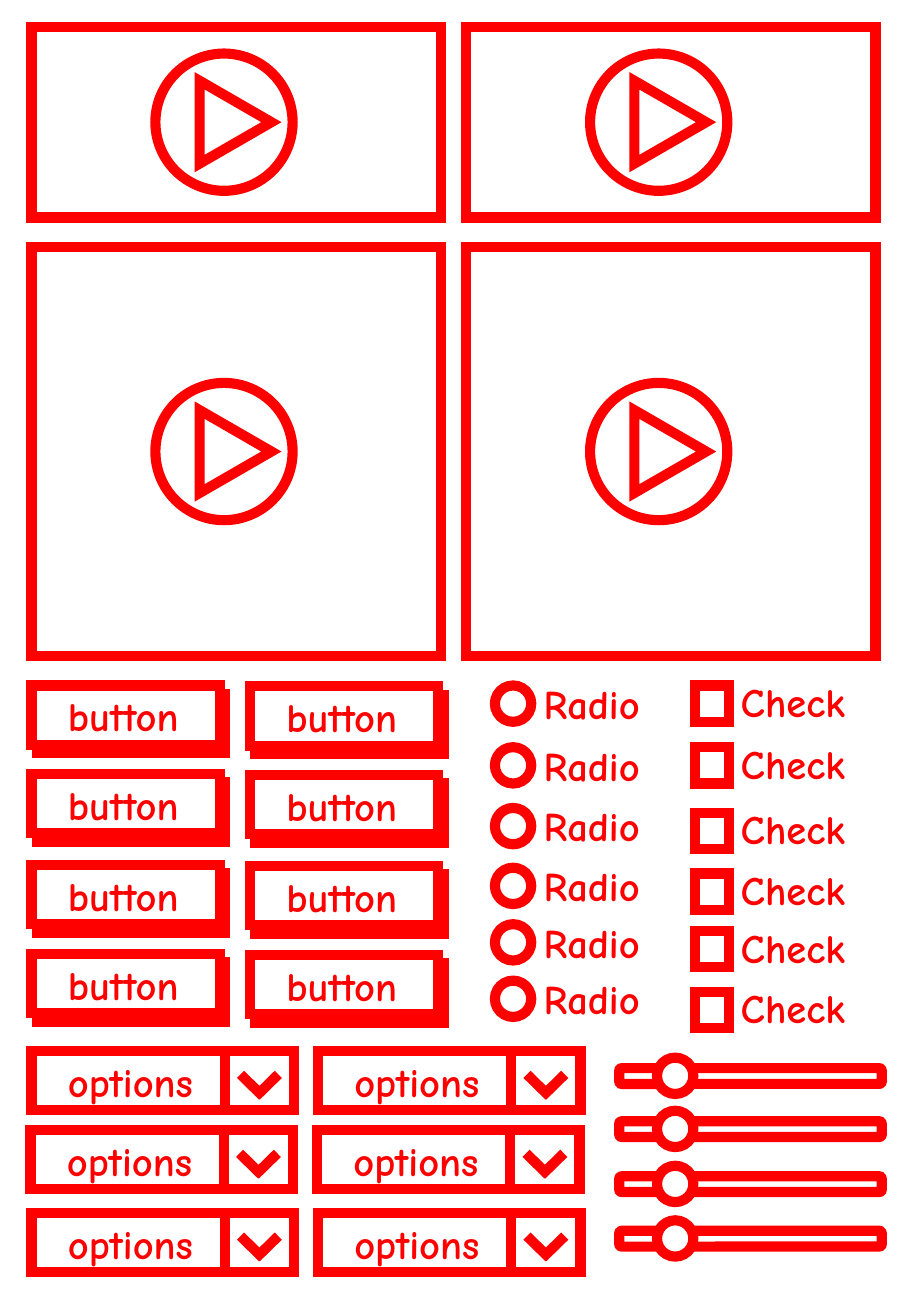
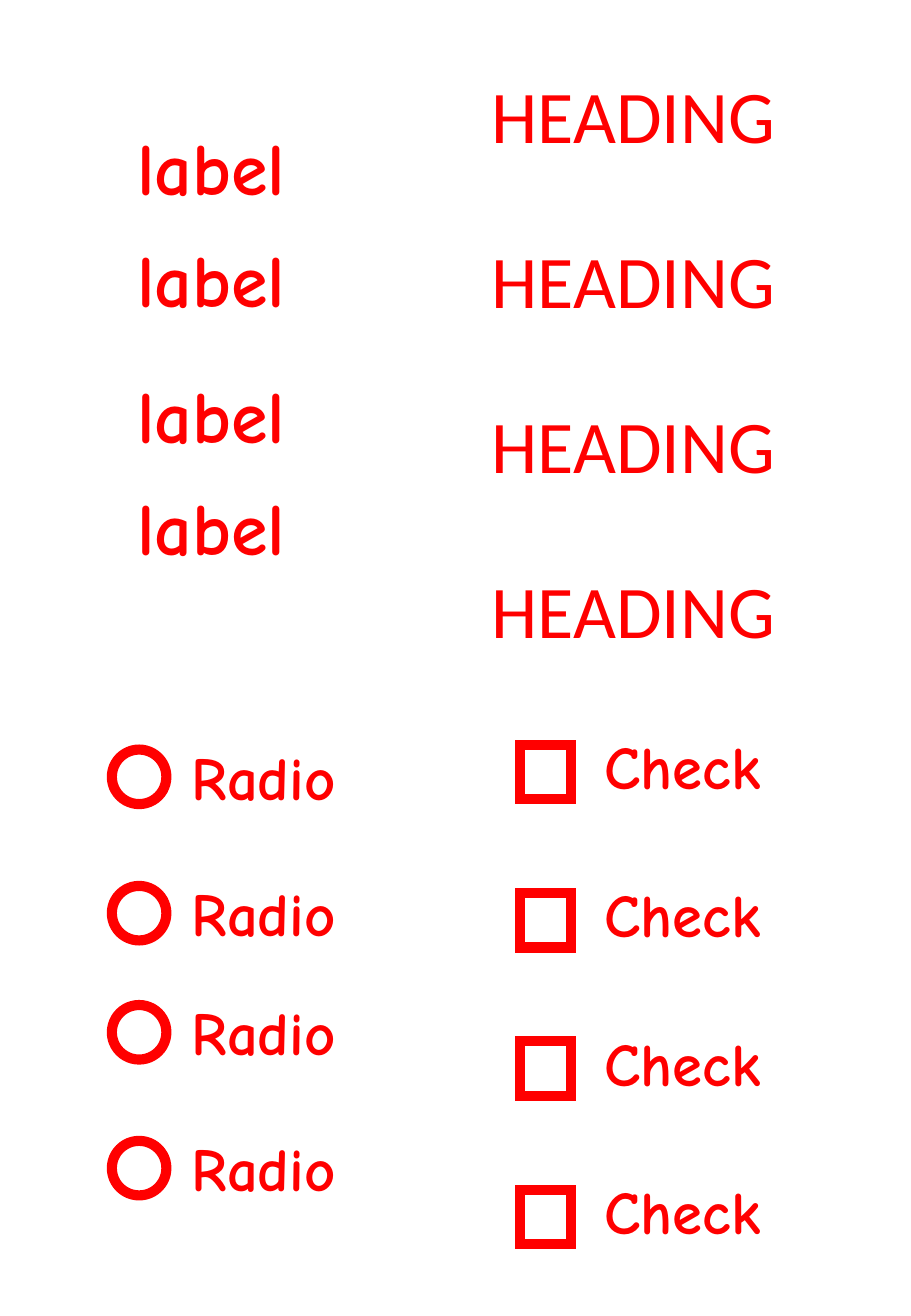
from dataclasses import dataclass
from itertools import product

from lxml import etree
from pptx import Presentation
from pptx import util as u
from pptx.dml import color
from pptx.enum import shapes, text
from pptx.oxml import ns
from pptx.shapes import shapetree as tree

Kind = shapes.MSO_SHAPE


# Shared look
@dataclass(frozen=True)
class Theme:
    ink: color.RGBColor = color.RGBColor(0xFF, 0x00, 0x00)
    paper: color.RGBColor = color.RGBColor(0xFF, 0xFF, 0xFF)
    hand: str = "Comic Neue"
    plain: str = "Calibri"
    small: int = 24
    medium: int = 36
    large: int = 44
    stroke: int = 6


THEME = Theme()


# Lengths in centimetres
@dataclass(frozen=True)
class Box:
    left: float
    top: float
    width: float
    height: float


@dataclass(frozen=True)
class Option:
    """A mark with a caption; gap and rise place the caption by the mark."""
    caption: str
    mark: Kind
    width: float
    height: float
    gap: float
    rise: float
    caption_width: float
    caption_height: float
    size: int


@dataclass(frozen=True)
class OptionColumn:
    option: Option
    left: float
    tops: tuple[float, ...]


@dataclass(frozen=True)
class TextColumn:
    words: str
    left: float
    tops: tuple[float, ...]
    width: float
    font: str
    bold: bool


SMALL_RADIO = Option("Radio", Kind.OVAL, 0.76, 0.76, 0.77, -0.26, 3.2, 1.27, THEME.small)
SMALL_CHECK = Option("Check", Kind.RECTANGLE, 0.71, 0.76, 0.71, -0.3, 3.2, 1.27, THEME.small)
BIG_RADIO = Option("Radio", Kind.OVAL, 1.14, 1.14, 1.42, -0.33, 4.78, 1.8, THEME.medium)
BIG_CHECK = Option("Check", Kind.RECTANGLE, 1.07, 1.14, 1.52, -0.46, 4.78, 1.8, THEME.medium)


# Basic parts
def add_outline(parts: tree.GroupShapes, kind: Kind, box: Box,
                filled: bool = True, turn: float = 0) -> None:
    shape = parts.add_shape(kind, u.Cm(box.left), u.Cm(box.top),
                            u.Cm(box.width), u.Cm(box.height))
    shape.shadow.inherit = False
    shape.rotation = turn
    if filled:
        shape.fill.solid()
        shape.fill.fore_color.rgb = THEME.paper
    else:
        shape.fill.background()
    shape.line.color.rgb = THEME.ink
    shape.line.width = u.Pt(THEME.stroke)
    # Sharp corners
    line = shape.line._get_or_add_ln()
    etree.SubElement(line, ns.qn("a:miter"), lim="800000")


def add_stroke(parts: tree.GroupShapes, x1: float, y1: float,
               x2: float, y2: float) -> None:
    stroke = parts.add_connector(shapes.MSO_CONNECTOR.STRAIGHT,
                                 u.Cm(x1), u.Cm(y1), u.Cm(x2), u.Cm(y2))
    stroke.line.color.rgb = THEME.ink
    stroke.line.width = u.Pt(THEME.stroke)
    etree.SubElement(stroke._element.spPr, ns.qn("a:effectLst"))


def add_words(parts: tree.GroupShapes, words: str, box: Box, size: int,
              font: str = THEME.hand, bold: bool = True, wrap: bool = True) -> None:
    frame = parts.add_textbox(u.Cm(box.left), u.Cm(box.top),
                              u.Cm(box.width), u.Cm(box.height)).text_frame
    frame.word_wrap = wrap
    frame.auto_size = text.MSO_AUTO_SIZE.SHAPE_TO_FIT_TEXT
    para = frame.paragraphs[0]
    span = para.add_run()
    span.text = words
    span.font.name = font
    span.font.size = u.Pt(size)
    span.font.bold = bold
    span.font.color.rgb = THEME.ink


# Interface elements, one group each
def add_video(page_shapes: tree.SlideShapes, box: Box) -> None:
    parts = page_shapes.add_group_shape().shapes
    middle = box.top + box.height / 2
    disc, base, rise = 2.87, 1.73, 1.5
    add_outline(parts, Kind.RECTANGLE, box)
    add_outline(parts, Kind.ISOSCELES_TRIANGLE,
                Box(box.left + 3.4, middle - rise / 2, base, rise), False, 90)
    add_outline(parts, Kind.OVAL, Box(box.left + 2.59, middle - disc / 2, disc, disc), False)


def add_button(page_shapes: tree.SlideShapes, left: float, top: float) -> None:
    parts = page_shapes.add_group_shape().shapes
    width, height = 3.94, 1.24
    add_outline(parts, Kind.RECTANGLE, Box(left + 0.11, top + 0.18, width, height), False)
    add_outline(parts, Kind.RECTANGLE, Box(left, top, width, height))
    add_words(parts, "button", Box(left + 0.51, top, 3, 1.27), THEME.small, wrap=False)


def add_dropdown(page_shapes: tree.SlideShapes, left: float, top: float) -> None:
    parts = page_shapes.add_group_shape().shapes
    height, high, low = 1.24, top + 0.49, top + 0.94
    add_outline(parts, Kind.RECTANGLE, Box(left, top, 5.49, height))
    add_words(parts, "options", Box(left + 0.51, top, 3.2, 1.27), THEME.small)
    add_outline(parts, Kind.RECTANGLE, Box(left + 4.04, top, 1.45, height), False)
    add_stroke(parts, left + 4.37, high, left + 4.83, low)
    add_stroke(parts, left + 4.7, low, left + 5.16, high)


def add_slider(page_shapes: tree.SlideShapes, left: float, top: float) -> None:
    parts = page_shapes.add_group_shape().shapes
    add_outline(parts, Kind.ROUNDED_RECTANGLE, Box(left, top, 5.49, 0.33))
    add_outline(parts, Kind.OVAL, Box(left + 0.79, top - 0.22, 0.76, 0.76))


def add_options(page_shapes: tree.SlideShapes, column: OptionColumn) -> None:
    option = column.option
    for top in column.tops:
        parts = page_shapes.add_group_shape().shapes
        add_outline(parts, option.mark, Box(column.left, top, option.width, option.height))
        add_words(parts, option.caption,
                  Box(column.left + option.gap, top + option.rise,
                      option.caption_width, option.caption_height), option.size)


def add_texts(page_shapes: tree.SlideShapes, column: TextColumn) -> None:
    for top in column.tops:
        add_words(page_shapes, column.words, Box(column.left, top, column.width, 2.13),
                  THEME.large, column.font, column.bold)


# Pages
def build_controls(page_shapes: tree.SlideShapes) -> None:
    for left, (top, height) in product((0.66, 9.75), ((0.56, 3.99), (5.16, 8.56))):
        add_video(page_shapes, Box(left, top, 8.56, height))
    for (left, drop), top in product(((0.66, 0), (5.23, 0.02)),
                                     (14.33, 16.18, 18.08, 19.94)):
        add_button(page_shapes, left, top + drop)
    for left, (shift, top) in product((0.66, 6.65),
                                      ((0, 21.97), (-0.02, 23.62), (0, 25.35))):
        add_dropdown(page_shapes, left + shift, top)
    add_options(page_shapes, OptionColumn(
        SMALL_RADIO, 10.35, (14.33, 15.62, 16.89, 18.14, 19.32, 20.5)))
    add_options(page_shapes, OptionColumn(
        SMALL_CHECK, 14.53, (14.33, 15.62, 16.99, 18.26, 19.46, 20.73)))
    for top in (22.33, 23.44, 24.59, 25.73):
        add_slider(page_shapes, 12.95, top)


def build_texts(page_shapes: tree.SlideShapes) -> None:
    heading_tops = tuple(1.32 + 3.45 * row for row in range(4))
    check_tops = tuple(15.57 + 3.1 * row for row in range(4))
    add_texts(page_shapes, TextColumn(
        "label", 2.62, (2.41, 4.75, 7.59, 9.93), 4.5, THEME.hand, True))
    add_texts(page_shapes, TextColumn(
        "HEADING", 10.03, heading_tops, 8.03, THEME.plain, False))
    add_options(page_shapes, OptionColumn(BIG_RADIO, 2.34, (15.67, 18.52, 21.01, 23.85)))
    add_options(page_shapes, OptionColumn(BIG_CHECK, 10.87, check_tops))


def main() -> None:
    deck = Presentation()
    deck.slide_width, deck.slide_height = u.Cm(19.05), u.Cm(27.51)
    blank = deck.slide_layouts[6]
    for build in (build_controls, build_texts):
        page = deck.slides.add_slide(blank)
        page.background.fill.solid()
        page.background.fill.fore_color.rgb = THEME.paper
        build(page.shapes)
    deck.save("out.pptx")


main()
